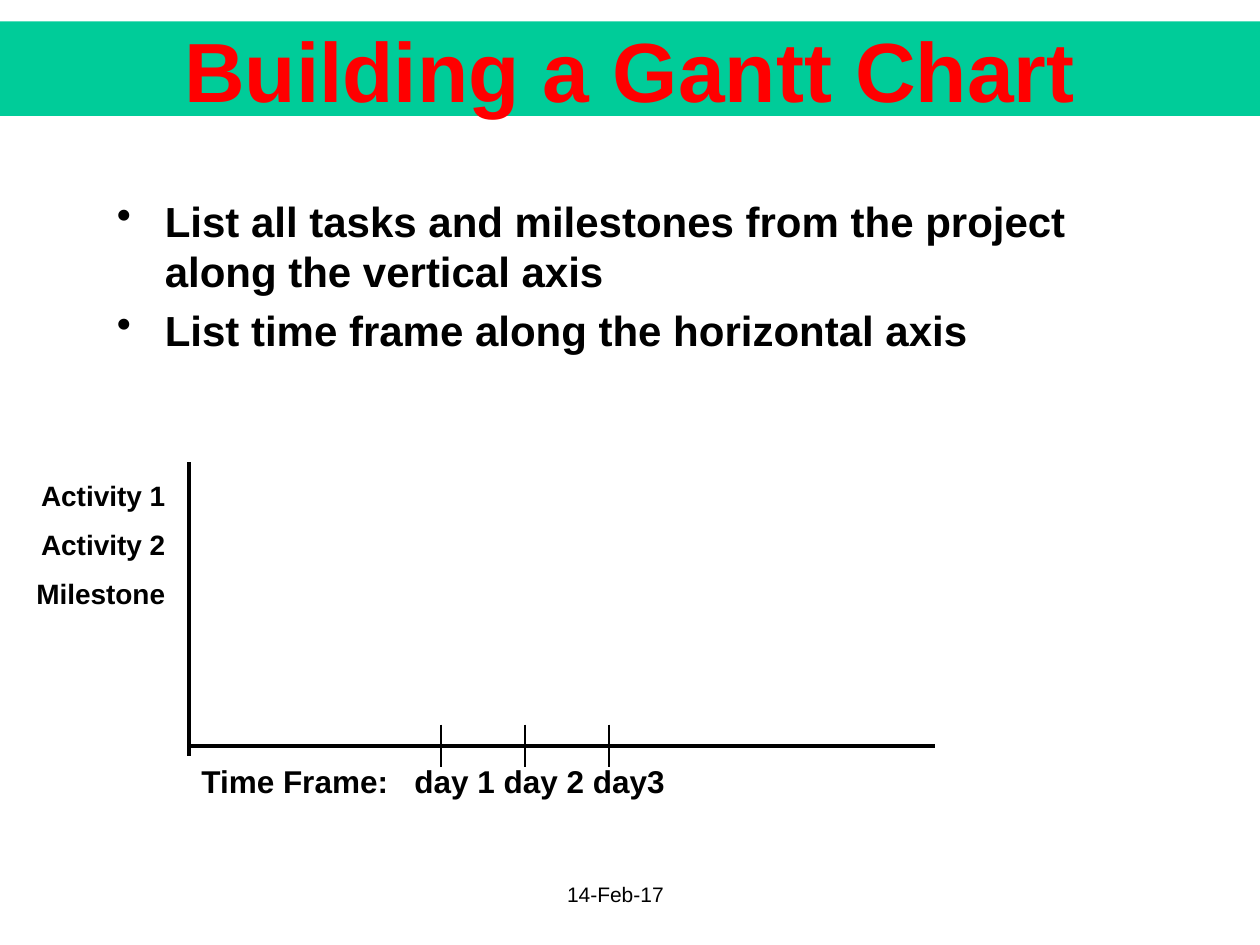
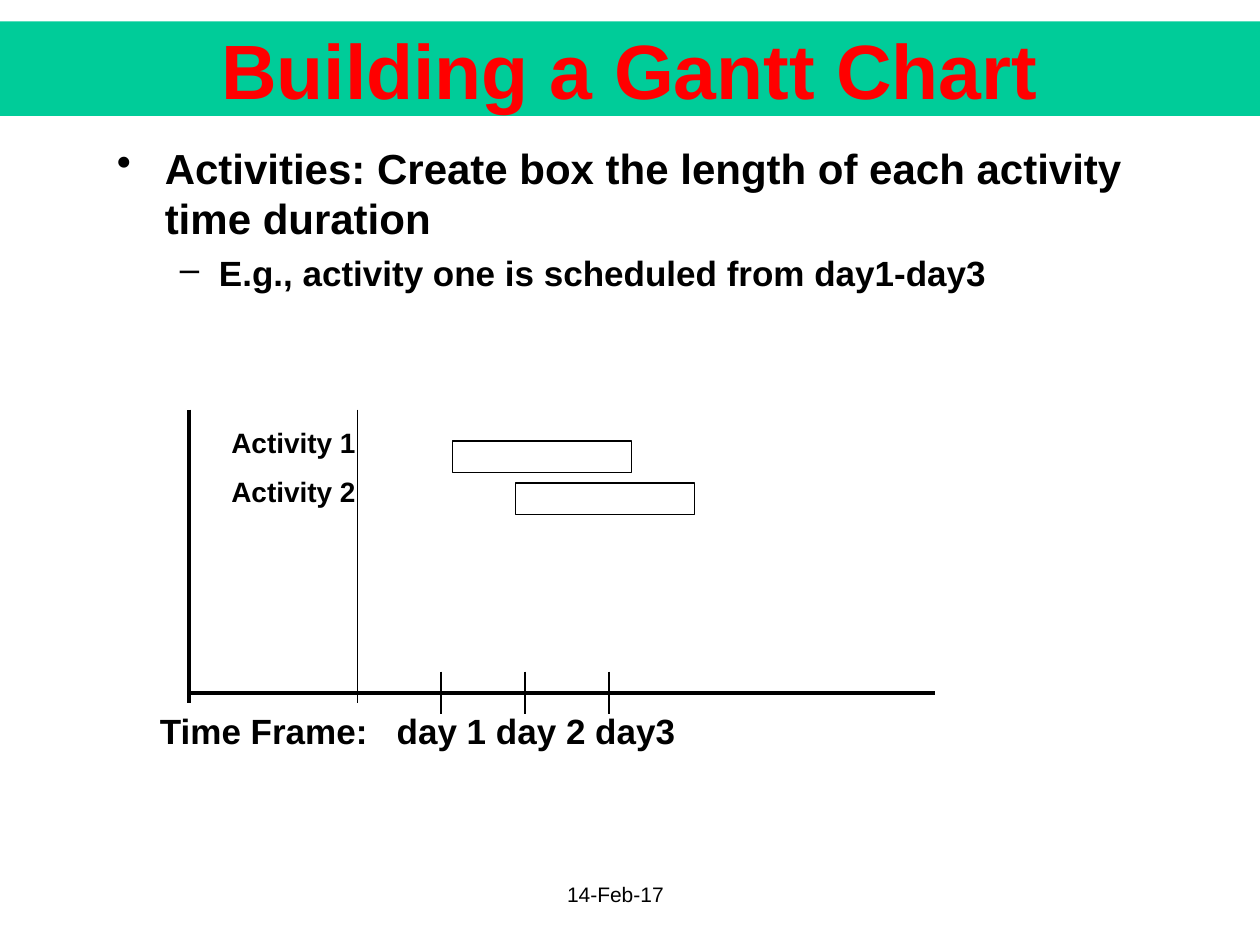
import pptx
import pptx.util
import pptx.dml.color
import pptx.enum.shapes
import pptx.enum.text
import pptx.oxml.ns
from dataclasses import dataclass
from lxml import etree

Inches = pptx.util.Inches
Pt = pptx.util.Pt
Align = pptx.enum.text.PP_ALIGN
Anchor = pptx.enum.text.MSO_ANCHOR
Shape = pptx.enum.shapes.MSO_SHAPE
Color = pptx.dml.color.RGBColor


@dataclass(frozen=True)
class Theme:
    font: str = "Arial"
    band: Color = Color(0x00, 0xCC, 0x99)
    title: Color = Color(0xFF, 0x00, 0x00)
    ink: Color = Color(0x00, 0x00, 0x00)
    body: tuple[int, int] = (24, 20)
    label: int = 16
    date: int = 12
    thick: float = 2.25
    thin: float = 0.75


@dataclass(frozen=True)
class Item:
    text: str
    size: float
    bold: bool = True
    align: Align = Align.LEFT
    before: float = 0
    level: int = 0
    bullet: str = ""
    indent: tuple[float, float] = (0, 0)
    tab: float = 0


@dataclass(frozen=True)
class Gantt:
    base: float
    label_left: float
    labels: tuple[str, ...]
    time_left: float
    time_size: int
    time_tab: float


@dataclass(frozen=True)
class Page:
    title_size: int
    body_top: float
    points: tuple[tuple[int, str], ...]
    gantt: Gantt


THEME = Theme()
TITLE = "Building a Gantt Chart"
DATE = "14-Feb-17"
LEFT, RIGHT = 1.5, 7.42
TICKS = [3.5 + i * 2 / 3 for i in range(3)]
LEVELS = (("•", (0.38, -0.38)), ("–", (0.81, -0.31)))

PAGES = (
    Page(48, 1.5, (
        (0, "List all tasks and milestones from the project along the vertical axis"),
        (0, "List time frame along the horizontal axis"),
    ), Gantt(5.92, 0.08, ("Activity 1", "Activity 2", "Milestone"), 1.5, 18, 1.69)),
    Page(44, 1.08, (
        (0, "Activities: Create box the length of each activity time duration"),
        (1, "E.g., activity one is scheduled from day1-day3"),
    ), Gantt(5.5, 1.59, ("Activity 1", "Activity 2"), 1.17, 20, 1.88)),
)


def add_node(parent, tag: str, **attrs: str):
    return etree.SubElement(parent, pptx.oxml.ns.qn(tag), **attrs)


def write(frame, items: list[Item], color: Color = THEME.ink) -> None:
    frame.word_wrap = True
    for i, item in enumerate(items):
        para = frame.paragraphs[0] if i == 0 else frame.add_paragraph()
        para.alignment = item.align
        para.level = item.level
        props = para._p.get_or_add_pPr()
        if item.bullet:
            margin, hang = item.indent
            props.set("marL", str(Inches(margin)))
            props.set("indent", str(Inches(hang)))
            add_node(props, "a:buChar", char=item.bullet)
        if item.tab:
            tabs = add_node(props, "a:tabLst")
            add_node(tabs, "a:tab", pos=str(Inches(item.tab)), algn="l")
        if i:
            para.space_before = Pt(item.before)
        run = para.add_run()
        run.text = item.text
        run.font.name = THEME.font
        run.font.size = Pt(item.size)
        run.font.bold = item.bold
        run.font.color.rgb = color


def add_text(slide, left: float, top: float, width: float, height: float,
             items: list[Item], inset: bool = True) -> None:
    box = slide.shapes.add_textbox(Inches(left), Inches(top), Inches(width), Inches(height))
    frame = box.text_frame
    if not inset:
        frame.margin_left = frame.margin_right = 0
        frame.margin_top = frame.margin_bottom = 0
    write(frame, items)


def add_line(slide, x1: float, y1: float, x2: float, y2: float, weight: float) -> None:
    line = slide.shapes.add_connector(
        pptx.enum.shapes.MSO_CONNECTOR.STRAIGHT,
        Inches(x1), Inches(y1), Inches(x2), Inches(y2))
    line.line.color.rgb = THEME.ink
    line.line.width = Pt(weight)
    add_node(line._element.spPr, "a:effectLst")


def add_rect(slide, left: float, top: float, width: float, height: float):
    rect = slide.shapes.add_shape(
        Shape.RECTANGLE, Inches(left), Inches(top), Inches(width), Inches(height))
    rect.shadow.inherit = False
    return rect


def add_title(slide, size: int) -> None:
    band = add_rect(slide, 0, 0.17, 10, 0.75)
    band.fill.solid()
    band.fill.fore_color.rgb = THEME.band
    band.line.fill.background()
    band.text_frame.vertical_anchor = Anchor.MIDDLE
    write(band.text_frame, [Item(TITLE, size, align=Align.CENTER)], THEME.title)


def add_body(slide, page: Page) -> None:
    items = []
    for level, text in page.points:
        bullet, indent = LEVELS[level]
        items.append(Item(text, THEME.body[level], before=5, level=level,
                          bullet=bullet, indent=indent))
    add_text(slide, 0.83, page.body_top, 8.5, 4.5, items)


def add_gantt(slide, gantt: Gantt) -> None:
    base = gantt.base
    add_line(slide, LEFT, base - 2.25, LEFT, base + 0.08, THEME.thick)
    add_line(slide, LEFT, base, RIGHT, base, THEME.thick)
    labels = [Item(text, THEME.label, align=Align.RIGHT, before=8.75) for text in gantt.labels]
    add_text(slide, gantt.label_left, base - 2.17, 1.33, 1.17, labels)
    add_text(slide, gantt.time_left, base + 0.08, 6.08, 0.4,
             [Item("Time Frame:\tday 1 day 2 day3", gantt.time_size, tab=gantt.time_tab)])
    for x in TICKS:
        add_line(slide, x, base - 0.17, x, base + 0.17, THEME.thin)


def add_bars(slide, base: float) -> None:
    add_line(slide, 2.84, base - 2.25, 2.84, base + 0.08, THEME.thin)
    for i in range(2):
        bar = add_rect(slide, 3.59 + i * 0.5, base - 2 + i / 3, 1.42, 0.25)
        bar.fill.background()
        bar.line.color.rgb = THEME.ink
        bar.line.width = Pt(THEME.thin)


def main() -> None:
    deck = pptx.Presentation()
    deck.slide_width, deck.slide_height = Inches(10), Inches(7.5)
    slides = []
    for page in PAGES:
        slide = deck.slides.add_slide(deck.slide_layouts[6])
        add_title(slide, page.title_size)
        add_body(slide, page)
        add_gantt(slide, page.gantt)
        add_text(slide, 4.5, 7, 1.59, 0.17, [Item(DATE, THEME.date, bold=False)], inset=False)
        slides.append(slide)
    add_bars(slides[1], PAGES[1].gantt.base)
    deck.save("out.pptx")


if __name__ == "__main__":
    main()
